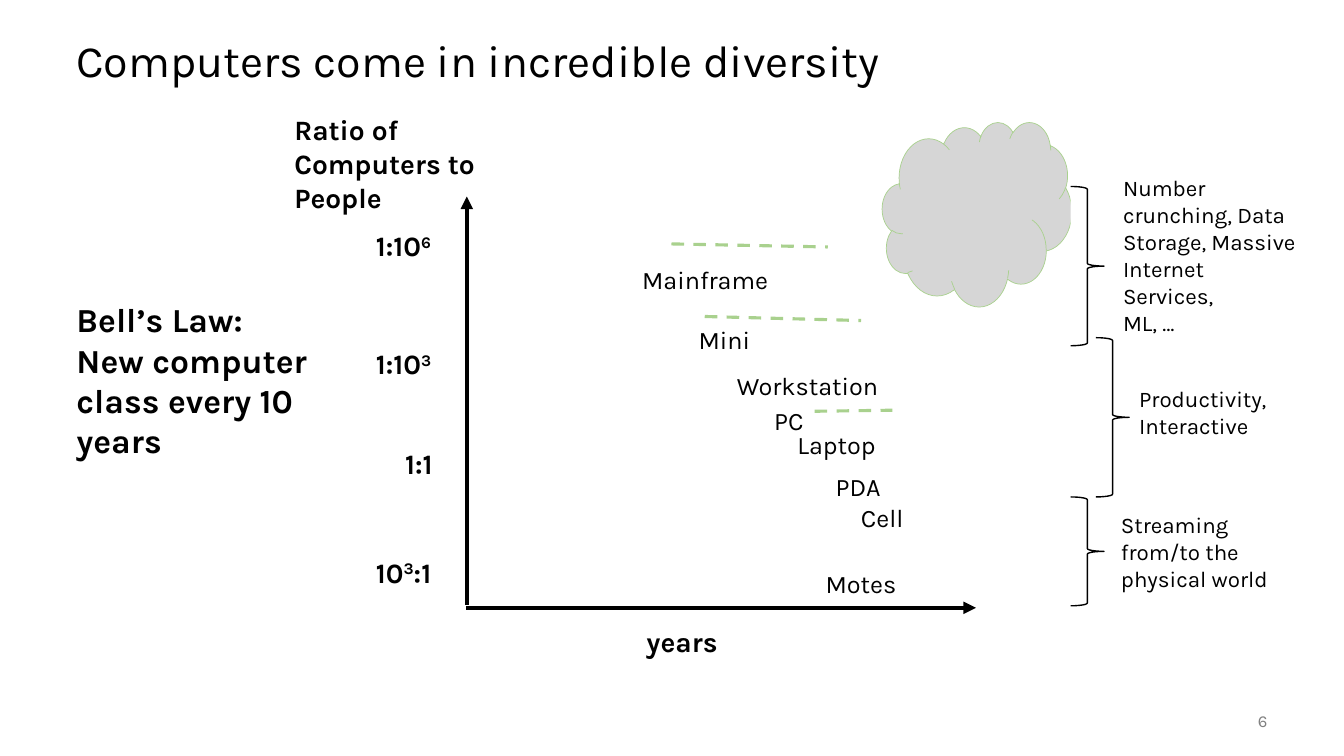
from lxml import etree
from pptx import Presentation
from pptx.dml.color import RGBColor
from pptx.enum.dml import MSO_LINE
from pptx.enum.shapes import MSO_CONNECTOR as CONNECTOR, MSO_SHAPE as SHAPE
from pptx.enum.text import MSO_ANCHOR as ANCHOR, MSO_AUTO_SIZE as AUTO_SIZE, PP_ALIGN as ALIGN
from pptx.oxml.ns import qn
from pptx.util import Inches, Pt

FONT = "Karla"
BLACK, WHITE, GREEN, GRAY = "000000", "FFFFFF", "A9D18E", "808080"


def rgb(color):
    return RGBColor.from_string(color)


def add_text(slide, box, text, size, bold=False, color=BLACK, align=ALIGN.LEFT,
             anchor=ANCHOR.TOP, grow=True, line_spacing=None):
    """Text box; newlines split paragraphs, vertical tabs break lines."""
    shape = slide.shapes.add_textbox(*map(Inches, box))
    frame = shape.text_frame
    frame.text = text
    frame.word_wrap = True
    frame.vertical_anchor = anchor
    frame.auto_size = AUTO_SIZE.SHAPE_TO_FIT_TEXT if grow else AUTO_SIZE.NONE
    for paragraph in frame.paragraphs:
        paragraph.alignment = align
        if line_spacing:
            paragraph.line_spacing = line_spacing
        for run in paragraph.runs:
            format_run(run, size, bold, color)
    return shape


def format_run(run, size, bold, color):
    run.font.name = FONT
    run.font.size = Pt(size)
    run.font.bold = bold
    run.font.color.rgb = rgb(color)


def add_ratio(slide, left, top, width, before, exponent="", after=""):
    """Axis label with an optional raised exponent."""
    shape = add_text(slide, (left, top, width, 0.44), before, 20, bold=True)
    paragraph = shape.text_frame.paragraphs[0]
    for text, raised in ((exponent, True), (after, False)):
        if text:
            run = paragraph.add_run()
            run.text = text
            format_run(run, 20, True, BLACK)
            if raised:
                run.font._element.set("baseline", "30000")


def add_line(slide, start, end, color, width):
    line = slide.shapes.add_connector(CONNECTOR.STRAIGHT, *map(Inches, start + end))
    line.line.color.rgb = rgb(color)
    line.line.width = Pt(width)
    etree.SubElement(line._element.spPr, qn("a:effectLst"))
    return line


def add_axis(slide, start, end):
    axis = add_line(slide, start, end, BLACK, 3)
    etree.SubElement(axis.line._get_or_add_ln(), qn("a:tailEnd"), type="triangle")


def add_dash(slide, start, end):
    add_line(slide, start, end, GREEN, 2.25).line.dash_style = MSO_LINE.DASH


def add_outline(slide, kind, box, fill, line, width):
    shape = slide.shapes.add_shape(kind, *map(Inches, box))
    shape.shadow.inherit = False
    shape.fill.solid()
    shape.fill.fore_color.rgb = rgb(fill)
    shape.line.color.rgb = rgb(line)
    shape.line.width = Pt(width)
    return shape


def add_cloud(slide, box):
    cloud = add_outline(slide, SHAPE.CLOUD, box, BLACK, GREEN, 0.5)
    color = cloud._element.spPr.find(qn("a:solidFill")).find(qn("a:srgbClr"))
    etree.SubElement(color, qn("a:alpha"), val="16000")


def add_use(slide, brace_box, text_box, text):
    """Brace and the kind of use it stands for."""
    add_outline(slide, SHAPE.RIGHT_BRACE, brace_box, WHITE, BLACK, 1)
    add_text(slide, text_box, text, 16)


def main():
    presentation = Presentation()
    presentation.slide_width = Inches(13.33)
    presentation.slide_height = Inches(7.5)
    slide = presentation.slides.add_slide(presentation.slide_layouts[6])

    # Title and slide number
    add_text(slide, (0.66, 0.25, 12, 0.75), "Computers come in incredible diversity", 32,
             anchor=ANCHOR.MIDDLE, grow=False, line_spacing=0.9)
    add_text(slide, (11.67, 6.95, 1, 0.4), "6", 12, color=GRAY, align=ALIGN.RIGHT,
             anchor=ANCHOR.MIDDLE, grow=False)

    # Axes and their labels
    add_axis(slide, (4.62, 6.03), (9.68, 6.03))
    add_axis(slide, (4.63, 6), (4.63, 1.95))
    add_text(slide, (6.21, 6.15, 1.11, 0.44), "years", 20, bold=True, align=ALIGN.CENTER)
    add_text(slide, (2.82, 1.07, 2.02, 1.11), "Ratio of Computers to People", 20, bold=True)
    add_ratio(slide, 3.63, 2.22, 1, "1:10", "6")
    add_ratio(slide, 3.63, 3.39, 1, "1:10", "3")
    add_ratio(slide, 3.92, 4.38, 0.72, "1:1")
    add_ratio(slide, 3.63, 5.46, 1, "10", "3", ":1")

    # Computer classes
    for left, top, width, name in (
        (6.27, 2.57, 2.05, "Mainframe"),
        (6.83, 3.17, 1.11, "Mini"),
        (7.21, 3.62, 1.97, "Workstation"),
        (7.58, 3.97, 0.73, "PC"),
        (7.81, 4.21, 1.61, "Laptop"),
        (8.19, 4.63, 0.94, "PDA"),
        (8.44, 4.93, 0.77, "Cell"),
        (8.09, 5.59, 0.97, "Motes"),
    ):
        add_text(slide, (left, top, width, 0.41), name, 18)

    # Dashed trends and the cloud
    add_dash(slide, (6.66, 2.42), (8.21, 2.45))
    add_dash(slide, (6.99, 3.14), (8.54, 3.18))
    add_dash(slide, (8.08, 4.08), (8.85, 4.07))
    add_cloud(slide, (8.75, 1.21, 1.88, 1.83))

    # Bell's law
    add_text(slide, (0.66, 2.92, 3.18, 1.72),
             "Bell’s Law:\vNew computer class every 10 years", 24, bold=True)

    # Uses of each group of classes
    add_use(slide, (10.62, 1.85, 0.33, 1.58), (11.04, 1.68, 1.94, 1.45),
            "Number crunching, Data Storage, Massive Internet Services,\nML, …")
    add_use(slide, (10.87, 3.35, 0.33, 1.58), (11.2, 3.77, 1.67, 0.64),
            "Productivity,\nInteractive")
    add_use(slide, (10.62, 4.93, 0.33, 1.08), (11.02, 5.02, 1.67, 0.91),
            "Streaming from/to the physical world")

    presentation.save("out.pptx")


if __name__ == "__main__":
    main()
